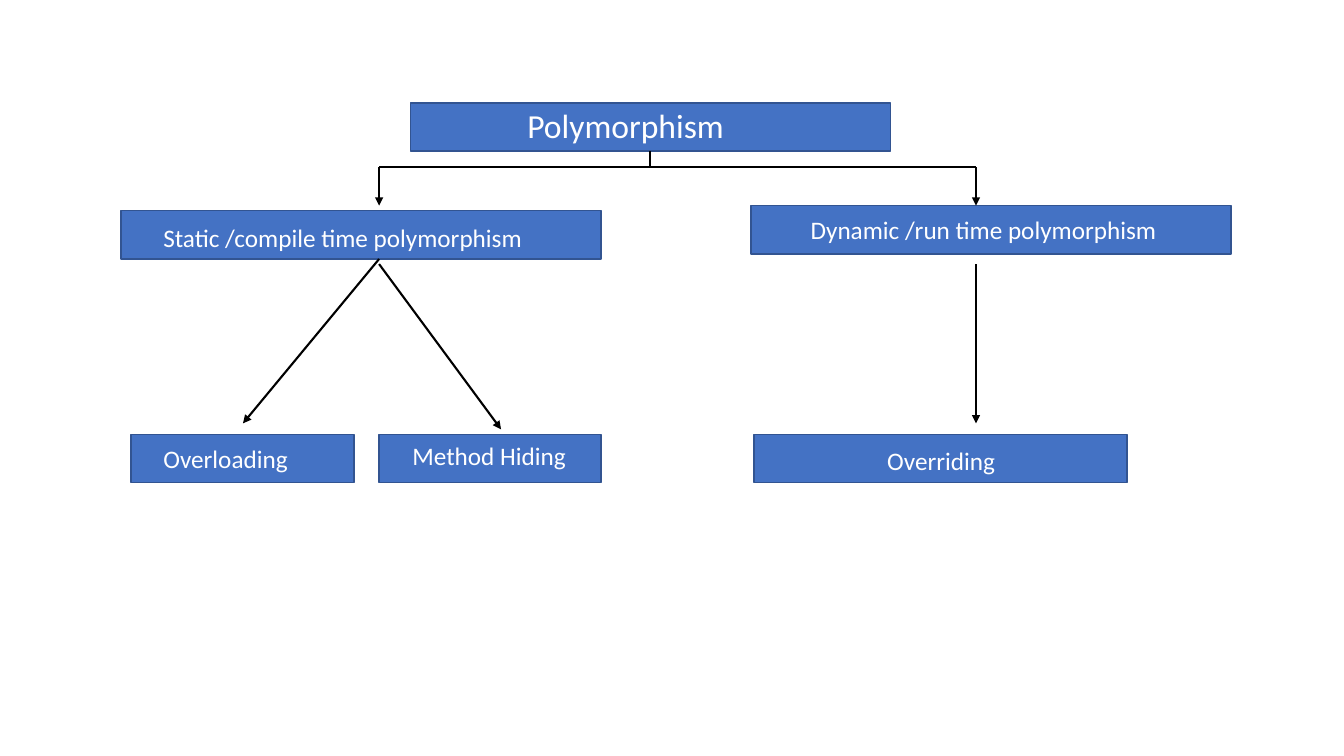
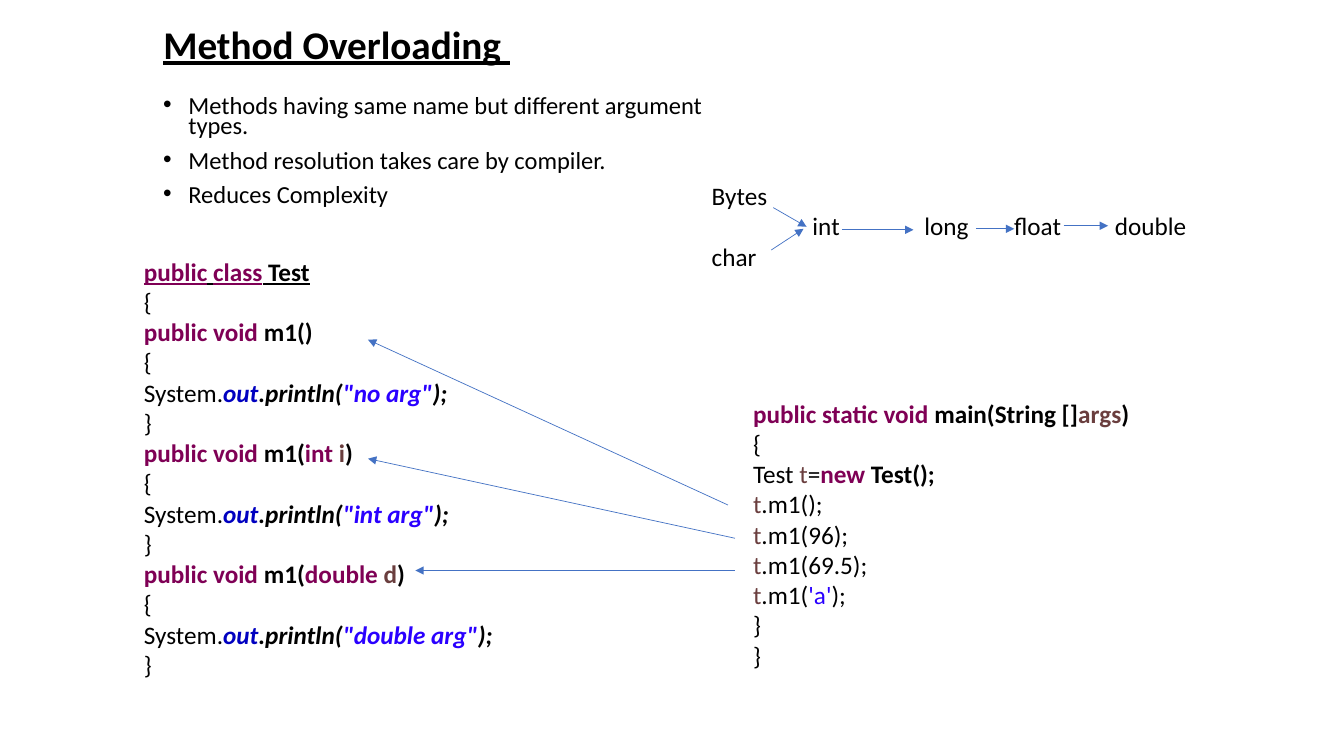
"""Builds two slides on polymorphism and method overloading."""
from dataclasses import dataclass

from lxml import etree
from pptx import Presentation
from pptx.dml.color import RGBColor
from pptx.enum import shapes, text
from pptx.oxml import ns
from pptx.util import Inches, Pt


@dataclass(frozen=True)
class Theme:
    font: str = "Calibri"
    black: str = "000000"
    white: str = "FFFFFF"
    blue: str = "4472C4"
    border: str = "325491"
    keyword: str = "7F0055"
    field: str = "0000C0"
    literal: str = "2A00FF"
    variable: str = "6A3E3E"
    title: float = 28
    root: float = 24
    body: float = 18
    bullet: float = 17.5


T = Theme()
STYLES = {
    "plain": {},
    "bullet": dict(size=T.bullet),
    "bold": dict(bold=True),
    "bold_line": dict(bold=True, underline=True),
    "key": dict(color=T.keyword, bold=True),
    "key_line": dict(color=T.keyword, bold=True, underline=True),
    "field": dict(color=T.field, bold=True, italic=True),
    "call": dict(bold=True, italic=True),
    "string": dict(color=T.literal, bold=True, italic=True),
    "char": dict(color=T.literal),
    "var": dict(color=T.variable),
    "param": dict(color=T.variable, bold=True),
}


def write(p, words, size=T.body, color=T.black, bold=False, italic=False, underline=False):
    r = p.add_run()
    r.text = words
    f = r.font
    f.name, f.size, f.color.rgb = T.font, Pt(size), RGBColor.from_string(color)
    f.bold, f.italic, f.underline = bold, italic, underline


def connect(s, x1, y1, x2, y2, color=T.black, width=1.5, arrow=True):
    c = s.shapes.add_connector(shapes.MSO_CONNECTOR.STRAIGHT,
                               Inches(x1), Inches(y1), Inches(x2), Inches(y2))
    c.line.color.rgb = RGBColor.from_string(color)
    c.line.width = Pt(width)
    sp_pr = c.element.spPr
    if arrow:
        etree.SubElement(sp_pr.find(ns.qn("a:ln")), ns.qn("a:tailEnd"), type="triangle")
    etree.SubElement(sp_pr, ns.qn("a:effectLst"))


prs = Presentation()
prs.slide_width, prs.slide_height = Inches(13.33), Inches(7.5)

s = prs.slides.add_slide(prs.slide_layouts[6])
boxes = [
    ("Polymorphism", 4.07, 1.02, 4.76, 1.16, 0.02, T.root),
    ("Dynamic /run time polymorphism", 7.45, 2.04, 4.76, 0.59, 0.09, T.body),
    ("Static /compile time polymorphism", 1.2, 2.09, 4.76, 0.42, 0.12, T.body),
    ("Method Hiding", 3.76, 4.31, 2.2, 0.33, 0.06, T.body),
    ("Overloading", 1.3, 4.31, 2.21, 0.32, 0.09, T.body),
    ("Overriding", 7.48, 4.31, 3.7, 1.32, 0.11, T.body),
]
for label, x, y, w, indent, drop, size in boxes:
    sp = s.shapes.add_shape(shapes.MSO_SHAPE.RECTANGLE,
                            Inches(x), Inches(y), Inches(w), Inches(0.48))
    sp.shadow.inherit = False
    sp.fill.solid()
    sp.fill.fore_color.rgb = RGBColor.from_string(T.blue)
    sp.line.color.rgb = RGBColor.from_string(T.border)
    sp.line.width = Pt(1)
    tf = sp.text_frame
    tf.word_wrap = True
    tf.vertical_anchor = text.MSO_ANCHOR.TOP
    tf.margin_left, tf.margin_top = Inches(indent), Inches(drop)
    tf.margin_right = tf.margin_bottom = 0
    p = tf.paragraphs[0]
    p.alignment = text.PP_ALIGN.LEFT
    write(p, label, size=size, color=T.white)

root_x, left_x, right_x, bar_y = 6.45, 3.76, 9.68, 1.66
connect(s, root_x, 1.5, root_x, bar_y, arrow=False)
connect(s, left_x, bar_y, right_x, bar_y, arrow=False)
for ends in [
    (left_x, bar_y, left_x, 2.04),
    (right_x, bar_y, right_x, 2.04),
    (left_x, 2.57, 2.41, 4.2),
    (left_x, 2.62, 4.97, 4.26),
    (right_x, 2.62, right_x, 4.2),
]:
    connect(s, *ends)

s = prs.slides.add_slide(prs.slide_layouts[5])
sp = s.shapes.title
sp.left, sp.top, sp.width, sp.height = Inches(1.52), Inches(0), Inches(7.83), Inches(0.92)
tf = sp.text_frame
tf.auto_size = text.MSO_AUTO_SIZE.NONE
tf.vertical_anchor = text.MSO_ANCHOR.MIDDLE
p = tf.paragraphs[0]
p.alignment = text.PP_ALIGN.LEFT
p.line_spacing = 0.9
write(p, "Method Overloading ", size=T.title, bold=True, underline=True)

bullets = [[(line, "bullet")] for line in (
    "Methods having same name but different argument types.",
    "Method resolution takes care by compiler.",
    "Reduces Complexity",
)]

test_class = [
    [("public", "key_line"), (" ", "bold_line"), ("class", "key_line"), (" Test", "bold_line")],
    [("{", "plain")],
]
for kind, name, message in [("", "", "no arg"), ("int ", "i", "int arg"),
                            ("double ", "d", "double arg")]:
    parameter = [(kind, "key"), (name, "param")] if kind else []
    test_class += [
        [("public void", "key"), (" m1(", "bold"), *parameter, (")", "bold")],
        [("{", "plain")],
        [("System.", "plain"), ("out", "field"), (".println(", "call"),
         (f'"{message}"', "string"), (");", "call")],
        [("}", "plain")],
    ]

main_method = [
    [("public static void", "key"), (" main(String []", "bold"), ("args", "param"), (")", "bold")],
    [("{", "plain")],
    [("Test ", "plain"), ("t", "var"), ("=", "plain"), ("new", "key"), (" Test();", "bold")],
    *[[("t", "var"), (f".m1({value});", "plain")] for value in ("", "96", "69.5")],
    [("t", "var"), (".m1(", "plain"), ("'a'", "char"), (");", "plain")],
    [("}", "plain")],
    [("}", "plain")],
]

promotions = [[(line, "plain")] for line in ("Bytes", "\tint\tlong\tfloat\tdouble", "char")]

frames = []
for x, y, w, h, lines in [
    (1.52, 0.92, 5.77, 1.25, bullets),
    (1.33, 2.49, 5.13, 4.34, test_class),
    (7.37, 3.9, 4.01, 3.13, main_method),
    (6.96, 1.74, 5.45, 1.01, promotions),
]:
    tf = s.shapes.add_textbox(Inches(x), Inches(y), Inches(w), Inches(h)).text_frame
    tf.word_wrap = True
    for i, line in enumerate(lines):
        p = tf.add_paragraph() if i else tf.paragraphs[0]
        for words, style in line:
            write(p, words, **STYLES[style])
    frames.append(tf)

for p in frames[0].paragraphs:
    p.line_spacing = 0.7
    p.space_before = Pt(10)
    p_pr = p._p.get_or_add_pPr()
    p_pr.set("marL", str(Inches(0.25)))
    p_pr.set("indent", str(-Inches(0.25)))
    etree.SubElement(p_pr, ns.qn("a:buFont"), typeface="Arial")
    etree.SubElement(p_pr, ns.qn("a:buChar"), char="•")

tabs = etree.SubElement(frames[-1].paragraphs[1]._p.get_or_add_pPr(), ns.qn("a:tabLst"))
for stop in (1, 2.11, 3, 4):
    etree.SubElement(tabs, ns.qn("a:tab"), pos=str(Inches(stop)), algn="l")

for ends in [
    (7.22, 5.01, 3.65, 3.37),
    (7.29, 5.34, 3.65, 4.55),
    (7.29, 5.66, 4.12, 5.66),
    (7.67, 2.06, 8, 2.25),
    (7.65, 2.48, 7.97, 2.27),
    (8.35, 2.28, 9.06, 2.28),
    (9.68, 2.27, 10.06, 2.27),
    (10.55, 2.24, 10.99, 2.24),
]:
    connect(s, *ends, color=T.blue, width=0.5)

prs.save("out.pptx")
